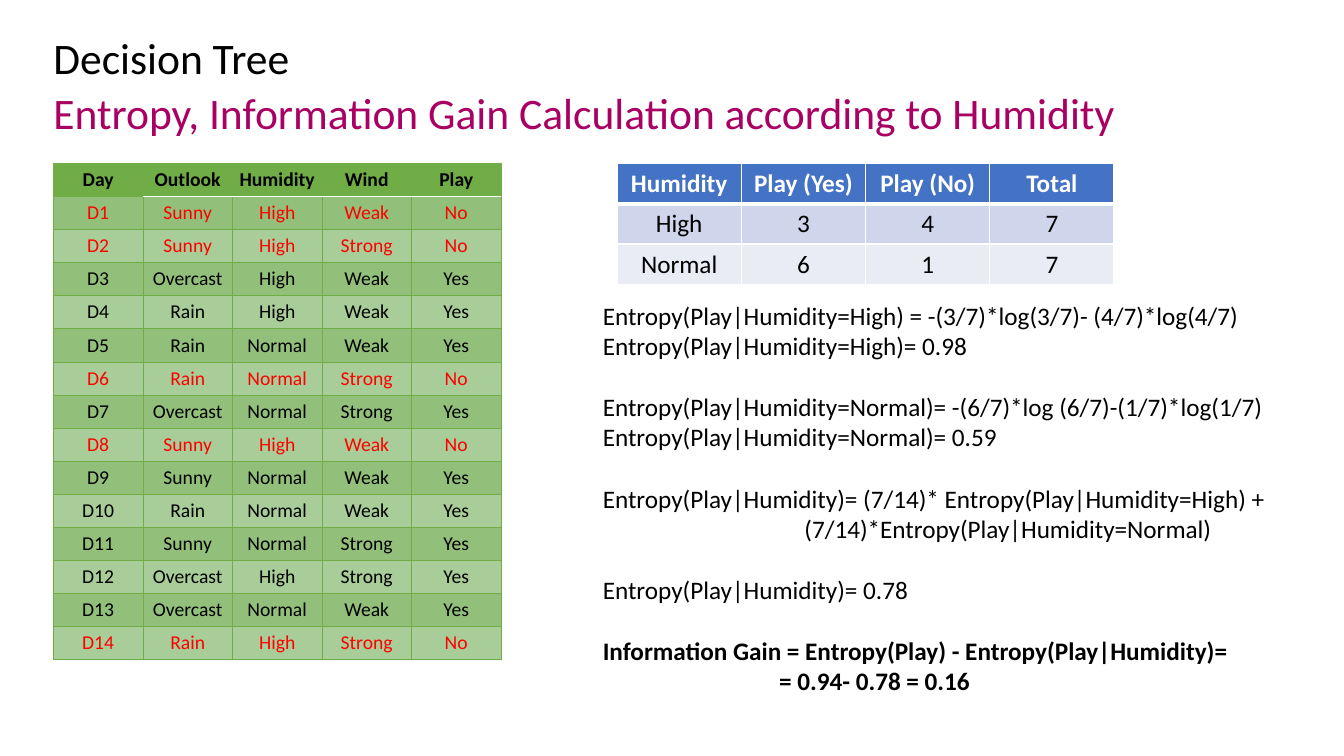
from lxml.etree import SubElement
from pptx import Presentation
from pptx.dml.color import RGBColor
from pptx.enum.text import MSO_ANCHOR, PP_ALIGN
from pptx.oxml.ns import qn
from pptx.util import Pt

PX = 9144
HUES = {
    "black": "000000", "white": "FFFFFF", "red": "FF0000", "plum": "A80163",
    "green": "70AD47", "leaf": "92C07A", "mint": "A8CD98",
    "blue": "4472C4", "haze": "CFD5EA", "mist": "E9EBF5",
}
DAYS = """Day Outlook Humidity Wind Play
D1 Sunny High Weak No
D2 Sunny High Strong No
D3 Overcast High Weak Yes
D4 Rain High Weak Yes
D5 Rain Normal Weak Yes
D6 Rain Normal Strong No
D7 Overcast Normal Strong Yes
D8 Sunny High Weak No
D9 Sunny Normal Weak Yes
D10 Rain Normal Weak Yes
D11 Sunny Normal Strong Yes
D12 Overcast High Strong Yes
D13 Overcast Normal Weak Yes
D14 Rain High Strong No"""
COUNTS = [
    ["Humidity", "Play (Yes)", "Play (No)", "Total"],
    ["High", "3", "4", "7"],
    ["Normal", "6", "1", "7"],
]
STEPS = [
    {"text": "Entropy(Play|Humidity=High) = -(3/7)*log(3/7)- (4/7)*log(4/7)"},
    {"text": "Entropy(Play|Humidity=High)= 0.98"},
    {"text": "Entropy(Play|Humidity=Normal)= -(6/7)*log (6/7)-(1/7)*log(1/7)", "gap": 22},
    {"text": "Entropy(Play|Humidity=Normal)= 0.59"},
    {"text": "Entropy(Play|Humidity)= (7/14)* Entropy(Play|Humidity=High) + "
             "(7/14)*Entropy(Play|Humidity=Normal)", "gap": 22, "left": 200, "first": -200},
    {"text": "Entropy(Play|Humidity)= 0.78", "gap": 22},
    {"text": "Information Gain = Entropy(Play) - Entropy(Play|Humidity)=", "gap": 22, "bold": True},
    {"text": "= 0.94- 0.78 = 0.16", "left": 175, "bold": True},
]


class Deck:
    font = "Calibri"

    def __init__(self, width, height):
        self.show = Presentation()
        self.apply(self.show, {"slide_width": width * PX, "slide_height": height * PX})
        self.slide = self.show.slides.add_slide(self.show.slide_layouts[6])

    def apply(self, item, style):
        for name, value in style.items():
            setattr(item, name, value)

    def hue(self, name):
        return RGBColor.from_string(HUES[name])

    def put(self, para, text, size, hue, bold=False):
        run = para.add_run()
        run.text = text
        self.apply(run.font, {"name": self.font, "size": Pt(size), "bold": bold})
        run.font.color.rgb = self.hue(hue)

    def text(self, box, lines, size, hue, pad=(0, 0), pitch=None):
        frame = self.slide.shapes.add_textbox(*(n * PX for n in box)).text_frame
        across, down = (n * PX for n in pad)
        self.apply(frame, {"word_wrap": True, "margin_left": across, "margin_right": across,
                           "margin_top": down, "margin_bottom": down})
        for spot, line in enumerate(lines):
            para = frame.add_paragraph() if spot else frame.paragraphs[0]
            self.apply(para, {"space_before": Pt(line.get("gap", 0)), "line_spacing": pitch})
            props = para._p.get_or_add_pPr()
            for key, name in (("marL", "left"), ("indent", "first")):
                if name in line:
                    props.set(key, str(line[name] * PX))
            self.put(para, line["text"], size, hue, line.get("bold", False))

    def edge(self, cell, side, hue, width):
        line = SubElement(cell._tc.get_or_add_tcPr(), qn("a:ln" + side), w=str(int(Pt(width))))
        fill = SubElement(line, qn("a:solidFill"))
        SubElement(fill, qn("a:srgbClr"), val=HUES[hue])

    def table(self, box, rows, size, fills, inks, line, rule, pad, anchor):
        left, top, width, height = (n * PX for n in box)
        grid = self.slide.shapes.add_table(
            len(rows), len(rows[0]), left, top, width, height).table
        self.apply(grid, {"first_row": False, "horz_banding": False})
        for col in grid.columns:
            col.width = width // len(rows[0])
        for row in grid.rows:
            row.height = height // len(rows)
        across, down = (n * PX for n in pad)
        form = {"margin_left": across, "margin_right": across, "margin_top": down,
                "margin_bottom": down, "vertical_anchor": anchor}
        head, band = fills
        for y, row in enumerate(rows):
            ink = inks if y == 0 else "red" if row[-1] == "No" else "black"
            for x, word in enumerate(row):
                cell = grid.cell(y, x)
                self.apply(cell, form)
                for side in "LRTB":
                    ruled = (y, side) in ((0, "B"), (1, "T")) and x >= rule["start"]
                    self.edge(cell, side, *(rule["line"] if ruled else line))
                cell.fill.solid()
                cell.fill.fore_color.rgb = self.hue(band[(y - 1) % 2] if y else head)
                para = cell.text_frame.paragraphs[0]
                para.alignment = PP_ALIGN.CENTER
                self.put(para, word, size, ink, y == 0)

    def save(self):
        self.show.save("out.pptx")


def main():
    deck = Deck(1333, 750)
    deck.table((53, 162, 444, 493), [row.split() for row in DAYS.splitlines()], 14,
               ("green", ("leaf", "mint")), "black", ("green", 0.5),
               {"line": ("white", 1), "start": 1}, (1, 1), MSO_ANCHOR.MIDDLE)
    heads = (("Decision Tree", "black"),
             ("Entropy, Information Gain Calculation according to Humidity", "plum"))
    for spot, (title, hue) in enumerate(heads):
        deck.text((53, 37 + 55 * spot, 1270, 47), [{"text": title}], 31.1, hue, pitch=0.89)
    deck.text((588, 293, 692, 404), STEPS, 18, "black", pad=(10, 5))
    deck.table((612, 162, 493, 120), COUNTS, 18,
               ("blue", ("haze", "mist")), "white", ("white", 1),
               {"line": ("white", 3), "start": 0}, (10, 5), MSO_ANCHOR.TOP)
    deck.save()


if __name__ == "__main__":
    main()
